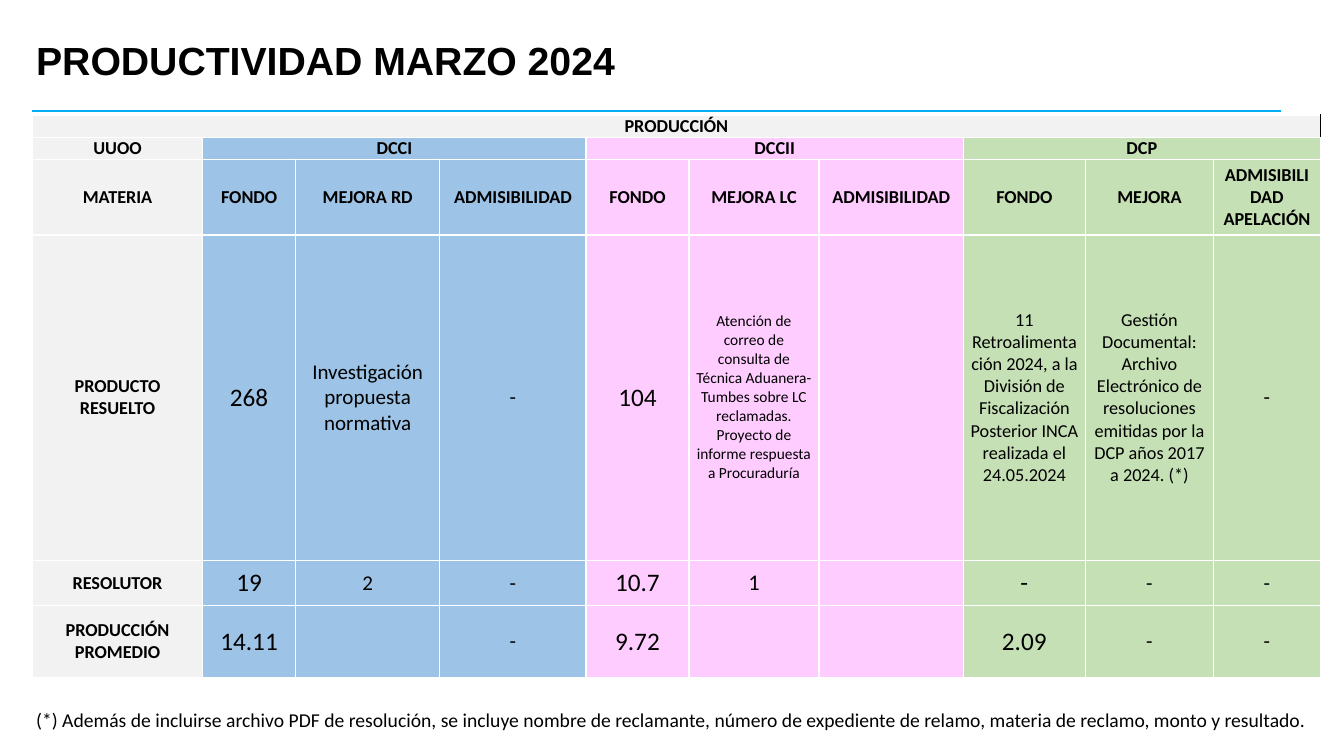
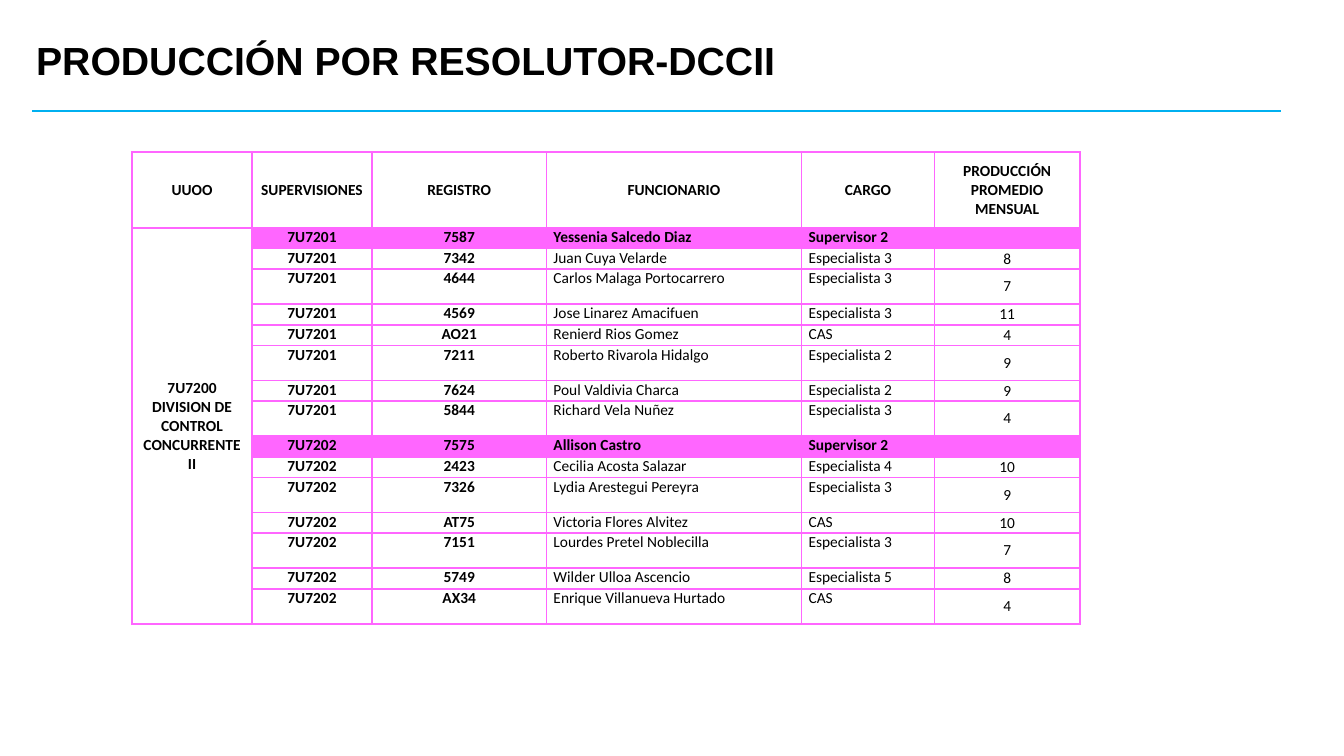
from lxml import etree
from pptx import Presentation
from pptx import util as u
from pptx.dml.color import RGBColor
from pptx.enum import shapes, text
from pptx.oxml.ns import qn

WIDTH, HEIGHT = u.Inches(13.33), u.Inches(7.5)
BLACK, WHITE, RULE = "000000", "FFFFFF", "00B0F0"
GREY, BLUE, PINK, GREEN, MAGENTA = "F2F2F2", "9DC3E6", "FFCCFF", "C5E0B4", "FF66FF"
LEFT, CENTER = text.PP_ALIGN.LEFT, text.PP_ALIGN.CENTER
TOP, MIDDLE = text.MSO_ANCHOR.TOP, text.MSO_ANCHOR.MIDDLE

TITLE_BOX = (1.95, 3.6, 86.27, 9.33)
RULE_ENDS = (2.4, 95.35)
RULE_TOP = 14.67
NOTE_BOX = (1.95, 92.93, 96.32, 4.53)

PRODUCTIVITY_BOX = (2.4, 15.2, 95.85, 74.4)
PRODUCTIVITY_COLUMNS = [169, 92, 143, 145, 102, 129, 143, 121, 127, 106]
PRODUCTIVITY_ROWS = [22, 22, 75, 322, 45, 71]
PRODUCTIVITY = [
    ["PRODUCCIÓN"] + [""] * 9,
    ["UUOO", "DCCI", "", "", "DCCII", "", "", "DCP", "", ""],
    ["MATERIA", "FONDO", "MEJORA RD", "ADMISIBILIDAD", "FONDO", "MEJORA LC",
     "ADMISIBILIDAD", "FONDO", "MEJORA", "ADMISIBILIDAD APELACIÓN"],
    ["PRODUCTO RESUELTO", "268", "Investigación propuesta normativa", "-", "104",
     "Atención de correo de consulta de Técnica Aduanera- Tumbes sobre LC reclamadas.\n"
     "Proyecto de informe respuesta a Procuraduría", "",
     "11 Retroalimentación 2024, a la División de Fiscalización Posterior "
     "INCA realizada el 24.05.2024",
     "Gestión Documental: Archivo Electrónico de resoluciones emitidas "
     "por la DCP años 2017 a 2024. (*)", "-"],
    ["RESOLUTOR", "19", "2", "-", "10.7", "1", "", "-", "-", "-"],
    ["PRODUCCIÓN PROMEDIO", "14.11", "", "-", "9.72", "", "", "2.09", "-", "-"],
]
SPECIAL_SIZES = {(3, 5): 11, (3, 7): 13, (3, 8): 13, (4, 5): 16}
NOTE = ("(*) Además de incluirse archivo PDF de resolución, se incluye nombre de reclamante, "
        "número de expediente de relamo, materia de reclamo, monto y resultado.")

OFFICERS_BOX = (9.83, 20.13, 70.52, 62.4)
OFFICERS_COLUMNS = [119, 119, 173, 253, 132, 144]
HEADER_ROW, SHORT_ROW, TALL_ROW = 75, 20.5, 34.7
TALL_ROWS = {3, 6, 8, 11, 13, 15}
OFFICERS_HEADER = ["UUOO", "SUPERVISIONES", "REGISTRO", "FUNCIONARIO", "CARGO",
                   "PRODUCCIÓN PROMEDIO MENSUAL"]
DIVISION = "7U7200 DIVISION DE CONTROL CONCURRENTE II"
TEAMS = {
    "7U7201": [
        ("7587", "Yessenia Salcedo Diaz", "Supervisor 2", ""),
        ("7342", "Juan Cuya Velarde", "Especialista 3", "8"),
        ("4644", "Carlos Malaga Portocarrero", "Especialista 3", "7"),
        ("4569", "Jose Linarez Amacifuen", "Especialista 3", "11"),
        ("AO21", "Renierd Rios Gomez", "CAS", "4"),
        ("7211", "Roberto Rivarola Hidalgo", "Especialista 2", "9"),
        ("7624", "Poul Valdivia Charca", "Especialista 2", "9"),
        ("5844", "Richard Vela Nuñez", "Especialista 3", "4"),
    ],
    "7U7202": [
        ("7575", "Allison Castro", "Supervisor 2", ""),
        ("2423", "Cecilia Acosta Salazar", "Especialista 4", "10"),
        ("7326", "Lydia Arestegui Pereyra", "Especialista 3", "9"),
        ("AT75", "Victoria Flores Alvitez", "CAS", "10"),
        ("7151", "Lourdes Pretel Noblecilla", "Especialista 3", "7"),
        ("5749", "Wilder Ulloa Ascencio", "Especialista 5", "8"),
        ("AX34", "Enrique Villanueva Hurtado", "CAS", "4"),
    ],
}


def color(value):
    return RGBColor.from_string(value)


def across(percent):
    return round(WIDTH * percent / 100)


def down(percent):
    return round(HEIGHT * percent / 100)


def place(box):
    left, top, width, height = box
    return across(left), down(top), across(width), down(height)


def set_font(paragraph, size, bold=False, name="Calibri"):
    font = paragraph.font
    font.name, font.size, font.bold = name, u.Pt(size), bold
    font.color.rgb = color(BLACK)


def add_text(slide, box, content, size, bold=False, name="Calibri", anchor=TOP, spacing=1.0):
    frame = slide.shapes.add_textbox(*place(box)).text_frame
    frame.word_wrap = True
    frame.vertical_anchor = anchor
    frame.text = content
    paragraph = frame.paragraphs[0]
    paragraph.line_spacing = spacing
    set_font(paragraph, size, bold, name)


def add_heading(slide, title):
    start, end = map(across, RULE_ENDS)
    line = slide.shapes.add_connector(
        shapes.MSO_CONNECTOR.STRAIGHT, start, down(RULE_TOP), end, down(RULE_TOP))
    line.line.color.rgb = color(RULE)
    line.line.width = u.Pt(1.5)
    etree.SubElement(line._element.spPr, qn("a:effectLst"))
    add_text(slide, TITLE_BOX, title, 28, True, "Arial", MIDDLE, 0.9)


def set_border(cell, side, value, points):
    properties = cell._tc.get_or_add_tcPr()
    line = etree.SubElement(properties, qn(f"a:ln{side}"), w=str(u.Pt(points)))
    fill = etree.SubElement(line, qn("a:solidFill"))
    etree.SubElement(fill, qn("a:srgbClr"), val=value)


def style_cell(cell, content, fill=None, size=11, bold=False, align=CENTER, anchor=MIDDLE):
    cell.margin_left = cell.margin_right = u.Inches(0.07)
    cell.margin_top = cell.margin_bottom = 0
    cell.vertical_anchor = anchor
    if fill:
        cell.fill.solid()
        cell.fill.fore_color.rgb = color(fill)
    else:
        cell.fill.background()
    cell.text_frame.text = content
    for paragraph in cell.text_frame.paragraphs:
        paragraph.alignment = align
        set_font(paragraph, size, bold)
        if not content:
            etree.SubElement(paragraph._p, qn("a:endParaRPr"), sz=str(size * 100))


def add_grid(slide, box, columns, rows, contents, style, border):
    left, top, width, height = place(box)
    table = slide.shapes.add_table(len(rows), len(columns), left, top, width, height).table
    table.first_row = table.horz_banding = False
    for column, weight in zip(table.columns, columns):
        column.width = round(width * weight / sum(columns))
    for row, weight in zip(table.rows, rows):
        row.height = round(height * weight / sum(rows))
    for row, values in enumerate(contents):
        for column, content in enumerate(values):
            cell = table.cell(row, column)
            for side in "LRTB":
                set_border(cell, side, *border(row, column, side))
            style_cell(cell, content, **style(row, column))
    return table


def productivity_style(row, column):
    heading = row < 3 or column == 0
    fill = GREY if row == 0 or column == 0 else (BLUE, PINK, GREEN)[(column - 1) // 3]
    size = 13 if heading else 18 if column % 3 == 1 else 15
    return {"fill": fill, "size": SPECIAL_SIZES.get((row, column), size), "bold": heading}


def productivity_border(row, column, side):
    outer_edge = row == 0 and side == "R"
    return (BLACK if outer_edge else WHITE), 1


def build_productivity(slide):
    add_heading(slide, "PRODUCTIVIDAD MARZO 2024")
    table = add_grid(slide, PRODUCTIVITY_BOX, PRODUCTIVITY_COLUMNS, PRODUCTIVITY_ROWS,
                     PRODUCTIVITY, productivity_style, productivity_border)
    table.cell(0, 0).merge(table.cell(0, 9))
    for first in (1, 4, 7):
        table.cell(1, first).merge(table.cell(1, first + 2))
    add_text(slide, NOTE_BOX, NOTE, 14)


def build_officers(slide):
    add_heading(slide, "PRODUCCIÓN POR RESOLUTOR-DCCII")
    contents = [OFFICERS_HEADER] + [
        ["", unit, *officer] for unit, officers in TEAMS.items() for officer in officers]
    contents[1][0] = DIVISION
    rows = [HEADER_ROW] + [
        TALL_ROW if row in TALL_ROWS else SHORT_ROW for row in range(1, len(contents))]

    def officer_style(row, column):
        supervisor = contents[row][4].startswith("Supervisor")
        return {
            "fill": MAGENTA if supervisor and column else None,
            "bold": row == 0 or supervisor or column < 3,
            "align": LEFT if row and column in (3, 4) else CENTER,
            "anchor": MIDDLE if row == 0 or column in (0, 5) else TOP,
        }

    table = add_grid(slide, OFFICERS_BOX, OFFICERS_COLUMNS, rows, contents,
                     officer_style, lambda row, column, side: (MAGENTA, 1.5))
    table.cell(1, 0).merge(table.cell(len(rows) - 1, 0))


def main():
    presentation = Presentation()
    presentation.slide_width, presentation.slide_height = WIDTH, HEIGHT
    for build in (build_productivity, build_officers):
        build(presentation.slides.add_slide(presentation.slide_layouts[6]))
    presentation.save("out.pptx")


if __name__ == "__main__":
    main()
